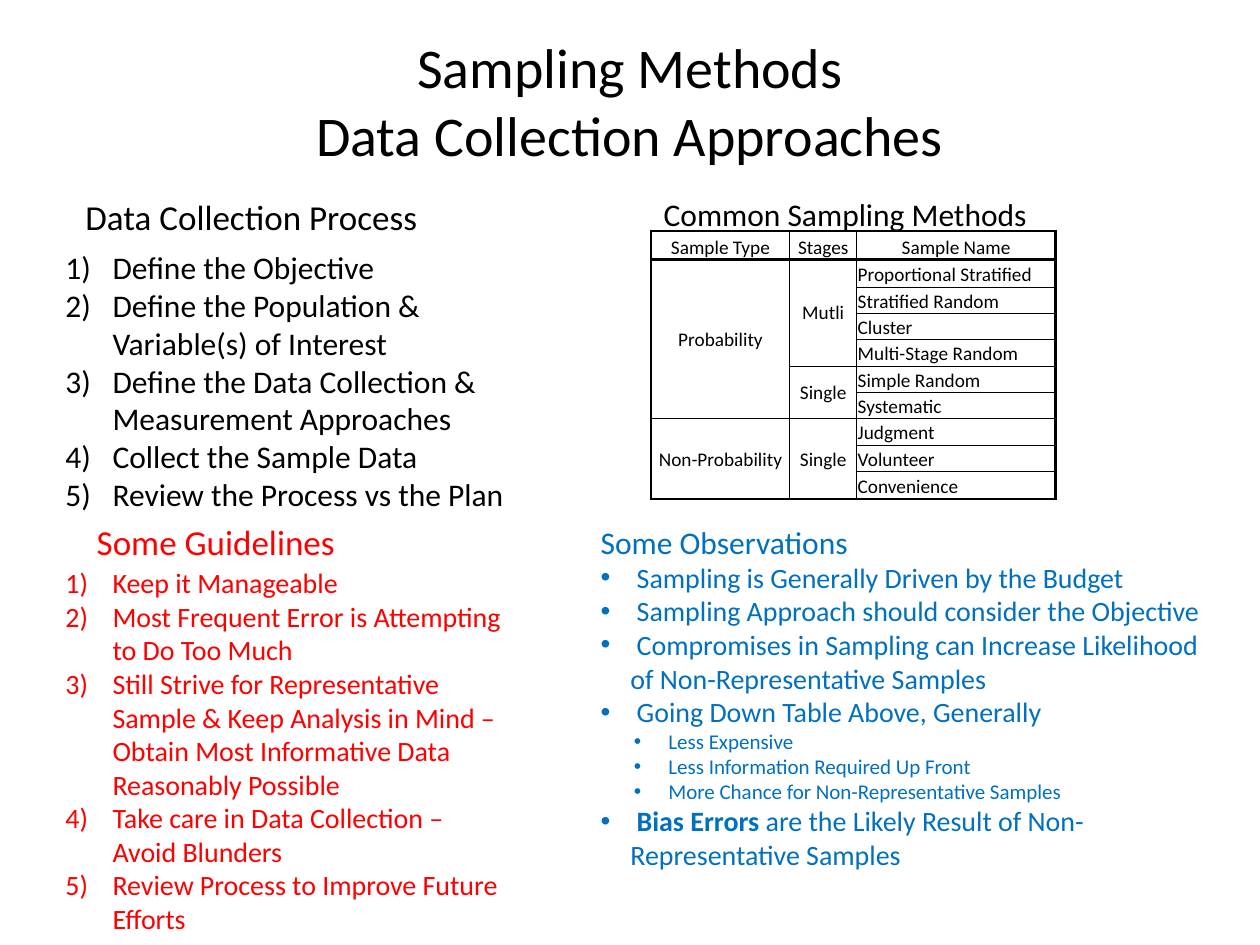
from lxml.etree import SubElement
from pptx import Presentation
from pptx.dml.color import RGBColor
from pptx.enum.text import MSO_ANCHOR, MSO_AUTO_SIZE, PP_ALIGN
from pptx.oxml.ns import qn
from pptx.util import Cm, Pt

FONT = "Calibri"
BLACK, RED, BLUE = "000000", "FF0000", "0070C0"
THIN, OUTER, HEADER = 0.5, 1.5, 2

PROCESS = [
    "Define the Objective",
    "Define the Population & Variable(s) of Interest",
    "Define the Data Collection & Measurement Approaches",
    "Collect the Sample Data",
    "Review the Process vs the Plan",
]
GUIDELINES = [
    "Keep it Manageable",
    "Most Frequent Error is Attempting to Do Too Much",
    "Still Strive for Representative Sample & Keep Analysis in Mind – "
    "Obtain Most Informative Data Reasonably Possible",
    "Take care in Data Collection – Avoid Blunders",
    "Review Process to Improve Future Efforts",
]
# Level of each observation, then its text
OBSERVATIONS = [
    (0, " Sampling is Generally Driven by the Budget"),
    (0, " Sampling Approach should consider the Objective"),
    (0, " Compromises in Sampling can Increase Likelihood of Non-Representative Samples"),
    (0, " Going Down Table Above, Generally"),
    (1, " Less Expensive"),
    (1, " Less Information Required Up Front"),
    (1, " More Chance for Non-Representative Samples"),
]
SAMPLE_NAMES = [
    "Proportional Stratified", "Stratified Random", "Cluster",
    "Multi-Stage Random", "Simple Random", "Systematic",
    "Judgment", "Volunteer", "Convenience",
]
# Text, first row, column, rows covered
GROUPS = [
    ("Sample Type", 0, 0, 1), ("Stages", 0, 1, 1), ("Sample Name", 0, 2, 1),
    ("Probability", 1, 0, 6), ("Mutli", 1, 1, 4), ("Single", 5, 1, 2),
    ("Non-Probability", 7, 0, 3), ("Single", 7, 1, 3),
]
COLUMN_WIDTHS = [2.79, 1.35, 4.01]
ROW_HEIGHTS = [0.58, 0.56] + [0.53] * 7 + [0.56]


def rgb(value):
    return RGBColor.from_string(value)


def style_runs(para, size, color):
    for span in para.runs:
        span.font.name = FONT
        span.font.size = Pt(size)
        span.font.color.rgb = rgb(color)


def add_box(slide, left, top, width, height, wrap=True):
    box = slide.shapes.add_textbox(Cm(left), Cm(top), Cm(width), Cm(height))
    box.text_frame.word_wrap = wrap
    box.text_frame.auto_size = MSO_AUTO_SIZE.SHAPE_TO_FIT_TEXT
    return box.text_frame


def add_heading(slide, text, left, top, width, height, size, color):
    para = add_box(slide, left, top, width, height, wrap=False).paragraphs[0]
    para.text = text
    style_runs(para, size, color)


def set_marker(para, margin, hang, number=False):
    properties = para._p.get_or_add_pPr()
    properties.set("marL", str(Cm(margin)))
    properties.set("indent", str(-Cm(hang)))
    if number:
        SubElement(properties, qn("a:buFont"), typeface="+mj-lt")
        SubElement(properties, qn("a:buAutoNum"), type="arabicParenR")
    else:
        SubElement(properties, qn("a:buFont"), typeface="Arial")
        SubElement(properties, qn("a:buChar"), char="•")


def add_numbered_list(slide, items, left, top, width, height, size, color):
    frame = add_box(slide, left, top, width, height)
    frame.text = "\n".join(items)
    for para in frame.paragraphs:
        set_marker(para, 0.95, 0.95, number=True)
        style_runs(para, size, color)


def add_title(slide):
    frame = add_box(slide, 1.27, 0.43, 22.86, 3.18)
    frame.auto_size = MSO_AUTO_SIZE.NONE
    frame.vertical_anchor = MSO_ANCHOR.MIDDLE
    para = frame.paragraphs[0]
    para.text = "Sampling Methods\vData Collection Approaches"
    para.alignment = PP_ALIGN.CENTER
    style_runs(para, 32, BLACK)


def add_observations(slide):
    frame = add_box(slide, 11.86, 10.41, 12.9, 7.34)
    frame.text = "Some Observations"
    style_runs(frame.paragraphs[0], 18, BLUE)
    for level, text in OBSERVATIONS:
        para = frame.add_paragraph()
        para.text = text
        para.level = level
        set_marker(para, (0.6, 1.27)[level], 0.6)
        style_runs(para, (16, 12)[level], BLUE)

    # Closing point with a bold lead
    para = frame.add_paragraph()
    set_marker(para, 0.6, 0.6)
    for text, bold in [(" ", False), ("Bias Errors ", True),
                       ("are the Likely Result of Non-Representative Samples", False)]:
        span = para.add_run()
        span.text = text
        span.font.bold = bold
    style_runs(para, 16, BLUE)


def set_borders(cell, widths):
    properties = cell._tc.get_or_add_tcPr()
    for side, width in zip("LRTB", widths):
        line = SubElement(properties, qn(f"a:ln{side}"), w=str(Pt(width)))
        fill = SubElement(line, qn("a:solidFill"))
        SubElement(fill, qn("a:srgbClr"), val=BLACK)
    cell.fill.background()


def edge_widths(first, last, column):
    """Left, right, top and bottom line widths of a block of rows."""
    return (
        OUTER if column == 0 else THIN,
        OUTER if column == len(COLUMN_WIDTHS) - 1 else THIN,
        {0: OUTER, 1: HEADER}.get(first, THIN),
        {0: HEADER, len(ROW_HEIGHTS) - 1: OUTER}.get(last, THIN),
    )


def fill_block(table, text, row, column, count, centered):
    last = row + count - 1
    for index in range(row, last + 1):
        set_borders(table.cell(index, column), edge_widths(row, last, column))
    cell = table.cell(row, column)
    if count > 1:
        cell.merge(table.cell(last, column))
    cell.margin_left = cell.margin_right = cell.margin_top = Cm(0.02)
    cell.margin_bottom = 0
    cell.vertical_anchor = MSO_ANCHOR.MIDDLE if count > 1 else MSO_ANCHOR.BOTTOM
    para = cell.text_frame.paragraphs[0]
    para.text = text
    para.alignment = PP_ALIGN.CENTER if centered else PP_ALIGN.LEFT
    style_runs(para, 11, BLACK)


def add_methods_table(slide):
    table = slide.shapes.add_table(
        len(ROW_HEIGHTS), len(COLUMN_WIDTHS), Cm(13.13), Cm(4.65),
        Cm(sum(COLUMN_WIDTHS)), Cm(sum(ROW_HEIGHTS))).table
    table.first_row = table.horz_banding = False
    for column, width in zip(table.columns, COLUMN_WIDTHS):
        column.width = Cm(width)
    for row, height in zip(table.rows, ROW_HEIGHTS):
        row.height = Cm(height)
    for text, row, column, count in GROUPS:
        fill_block(table, text, row, column, count, centered=True)
    for row, name in enumerate(SAMPLE_NAMES, start=1):
        fill_block(table, name, row, 2, 1, centered=False)


def main():
    deck = Presentation()
    deck.slide_width, deck.slide_height = Cm(25.4), Cm(19.05)
    slide = deck.slides.add_slide(deck.slide_layouts[6])
    add_title(slide)

    # Left column: process and guidelines
    add_numbered_list(slide, PROCESS, 1.07, 4.88, 9.53, 5.64, 18, BLACK)
    add_heading(slide, "Data Collection Process", 1.47, 3.81, 7.26, 1.12, 20, BLACK)
    add_numbered_list(slide, GUIDELINES, 1.07, 11.28, 9.32, 7.77, 16, RED)
    add_heading(slide, "Some Guidelines", 1.7, 10.36, 5.36, 1.12, 20, RED)

    # Right column: methods table and observations
    add_methods_table(slide)
    add_heading(slide, "Common Sampling Methods", 13.13, 3.81, 7.92, 1.02, 18, BLACK)
    add_observations(slide)
    deck.save("out.pptx")


if __name__ == "__main__":
    main()
